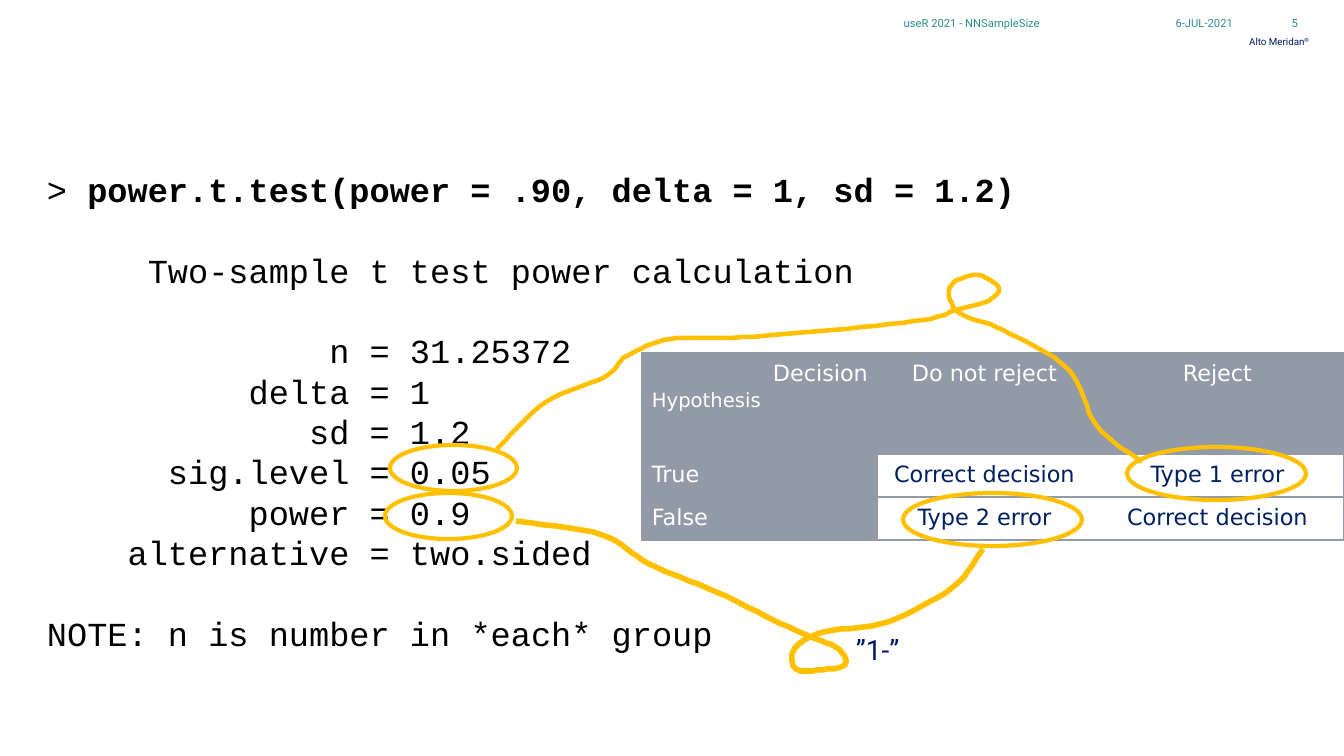
from lxml import etree
from pptx import Presentation
from pptx import util as u
from pptx.dml.color import RGBColor
from pptx.enum import shapes, text
from pptx.oxml import ns

NAVY, TEAL, GOLD, GREY, WHITE, BLACK, DEEP = (
    "001965", "2A918B", "FFC000", "939AA7", "FFFFFF", "000000", "002060")
LEFT, CENTER, RIGHT = text.PP_ALIGN.LEFT, text.PP_ALIGN.CENTER, text.PP_ALIGN.RIGHT
NO_STYLE = "{2D5ABB26-0587-4C30-8999-92F81FD0307C}"
CODE_LINE = 28.8
NAME_WIDTH = 15
CURVE_STEPS = 8

COMMAND = "power.t.test(power = .90, delta = 1, sd = 1.2)"
HEADLINE = "     Two-sample t test power calculation"
RESULTS = {"n": "31.25372", "delta": "1", "sd": "1.2", "sig.level": "0.05",
           "power": "0.9", "alternative": "two.sided"}
REMARK = "NOTE: n is number in *each* group"

DECISIONS = [
    ["Decision", "Do not reject", "Reject"],
    ["True", "Correct decision", "Type 1 error"],
    ["False", "Type 2 error", "Correct decision"],
]
FOOTERS = [("6-JUL-2021", 1057, 176), ("useR 2021 - NNSampleSize", 614, 426),
           ("5", 1252, 46)]

VALUE_RING, ERROR_RING = (127, 46), (179, 53)
RINGS = {
    "sig.level": ((390, 445), VALUE_RING),
    "power": ((385, 493), VALUE_RING),
    "type 1": ((1127, 447), ERROR_RING),
    "type 2": ((903, 493), ERROR_RING),
}
LEVEL_TO_TYPE_1 = {
    "climb": [(497, 449), (546, 402), (605, 377), (627, 356), (671, 339)],
    "run": [(733, 338), (821, 331), (924, 320), (956, 310), (986, 302)],
    "loop": [(999, 288), (976, 275), (950, 287), (959, 313)],
    "drop": [(1003, 330), (1068, 369), (1097, 426), (1142, 462)],
}
POWER_TO_TYPE_2 = {
    "drop": [(516, 521), (602, 535), (649, 564), (716, 592), (797, 631)],
    "loop": [(837, 648), (845, 665), (820, 670), (796, 669), (793, 652), (806, 639)],
    "climb": [(829, 631), (888, 622), (953, 587), (983, 549)],
}


def px(count):
    return u.Emu(round(count * 12192000 / 1344))


def color(value):
    return RGBColor.from_string(value)


def blend(before, start, end, after, t):
    return (2 * start + (end - before) * t
            + (2 * before - 5 * start + 4 * end - after) * t ** 2
            + (3 * start - before - 3 * end + after) * t ** 3) / 2


def smooth_curve(knots):
    padded = [knots[0], *knots, knots[-1]]
    points = [knots[0]]
    for four in zip(padded, padded[1:], padded[2:], padded[3:]):
        xs, ys = zip(*four)
        for step in range(1, CURVE_STEPS + 1):
            t = step / CURVE_STEPS
            points.append((blend(*xs, t), blend(*ys, t)))
    return points


class Page:
    """Draws styled elements on one slide."""

    def __init__(self, deck):
        self.shapes = deck.slides.add_slide(deck.slide_layouts[6]).shapes

    def span(self, para, words, font, size, tint, bold=False):
        span = para.add_run()
        span.text = words
        span.font.name, span.font.size, span.font.bold = font, u.Pt(size), bold
        span.font.color.rgb = color(tint)
        return span

    def box(self, left, top, width, height, inset=0, wrap=True,
            anchor=text.MSO_ANCHOR.TOP):
        frame = self.shapes.add_textbox(px(left), px(top), px(width), px(height)).text_frame
        frame.word_wrap, frame.vertical_anchor = wrap, anchor
        frame.margin_left = frame.margin_right = px(2 * inset)
        frame.margin_top = frame.margin_bottom = px(inset)
        return frame

    def label(self, words, place, size, tint, align=RIGHT, **options):
        para = self.box(*place, **options).paragraphs[0]
        para.alignment = align
        self.span(para, words, "Roboto", size, tint)
        return para

    def code_line(self, para, words, gap=False, prompt=""):
        para.line_spacing = u.Pt(CODE_LINE)
        if gap:
            para.space_before = u.Pt(CODE_LINE)
        if prompt:
            self.span(para, prompt, "Courier New", 24, BLACK)
        self.span(para, words, "Courier New", 24, BLACK, bool(prompt))

    def console(self, place):
        frame = self.box(*place, inset=5)
        self.code_line(frame.paragraphs[0], COMMAND, prompt="> ")
        self.code_line(frame.add_paragraph(), HEADLINE, gap=True)
        for index, (name, value) in enumerate(RESULTS.items()):
            words = f"{name:>{NAME_WIDTH}} = {value}"
            self.code_line(frame.add_paragraph(), words, gap=index == 0)
        self.code_line(frame.add_paragraph(), REMARK, gap=True)

    def outline(self, shape, weight):
        shape.shadow.inherit = False
        shape.fill.background()
        shape.line.color.rgb = color(GOLD)
        shape.line.width = u.Pt(weight)

    def ring(self, corner, size):
        place = map(px, corner + size)
        self.outline(self.shapes.add_shape(shapes.MSO_SHAPE.OVAL, *place), 3)

    def stroke(self, sections, weight):
        start, *rest = smooth_curve(sum(sections.values(), []))
        builder = self.shapes.build_freeform(*start, scale=float(px(1)))
        builder.add_line_segments(rest, close=False)
        self.outline(builder.convert_to_shape(), weight)

    def border(self, cell, sides):
        for side in sides:
            line = etree.SubElement(cell._tc.get_or_add_tcPr(), ns.qn("a:ln" + side), w="12700")
            fill = etree.SubElement(line, ns.qn("a:solidFill"))
            etree.SubElement(fill, ns.qn("a:srgbClr"), val=GREY)

    def cell(self, cell, words, heading, align, sides):
        cell.margin_left = cell.margin_right = px(10)
        cell.margin_top = cell.margin_bottom = px(8)
        self.border(cell, sides)
        if heading:
            cell.fill.solid()
            cell.fill.fore_color.rgb = color(GREY)
        else:
            cell.fill.background()
        para = cell.text_frame.paragraphs[0]
        para.alignment = align
        self.span(para, words, "DejaVu Sans", 16, WHITE if heading else DEEP)

    def table(self, rows, left, top, widths, heights):
        frame = self.shapes.add_table(len(rows), len(widths), px(left), px(top),
                                      px(sum(widths)), px(sum(heights)))
        table = frame.table
        table.first_row = table.horz_banding = False
        table._tbl.tblPr.find(ns.qn("a:tableStyleId")).text = NO_STYLE
        for column, width in zip(table.columns, widths):
            column.width = px(width)
        for row, height in zip(table.rows, heights):
            row.height = px(height)
        outer_sides = {0: "LTB", len(widths) - 1: "RTB"}
        for r, row in enumerate(rows):
            for c, words in enumerate(row):
                self.cell(table.cell(r, c), words, r == 0 or c == 0,
                          CENTER if c else LEFT, outer_sides.get(c, "TB"))
        return table


def main():
    deck = Presentation()
    deck.slide_width, deck.slide_height = px(1344), px(756)
    page = Page(deck)

    brand = page.label("Alto Meridan", (1237, 36, 72, 12), 7, NAVY)
    mark = page.span(brand, "®", "Roboto", 7, NAVY)
    mark.font._element.set("baseline", "30000")
    page.console((37, 164, 1091, 499))

    table = page.table(DECISIONS, 642, 353, (236, 213, 253), (101, 43, 43))
    corner = table.cell(0, 0).text_frame
    corner.paragraphs[0].alignment = RIGHT
    hypothesis = corner.add_paragraph()
    hypothesis.space_before = u.Pt(2)
    page.span(hypothesis, "Hypothesis", "DejaVu Sans", 14, WHITE)

    for corner, size in RINGS.values():
        page.ring(corner, size)
    page.stroke(LEVEL_TO_TYPE_1, 3.25)
    page.stroke(POWER_TO_TYPE_2, 4)

    complement = page.label("”1-”", (856, 626, 47, 38), 20, NAVY, LEFT, wrap=False)
    complement.line_spacing = 1.2
    for words, left, width in FOOTERS:
        page.label(words, (left, 16, width, 15), 8, TEAL, anchor=text.MSO_ANCHOR.MIDDLE)

    deck.save("out.pptx")


if __name__ == "__main__":
    main()
